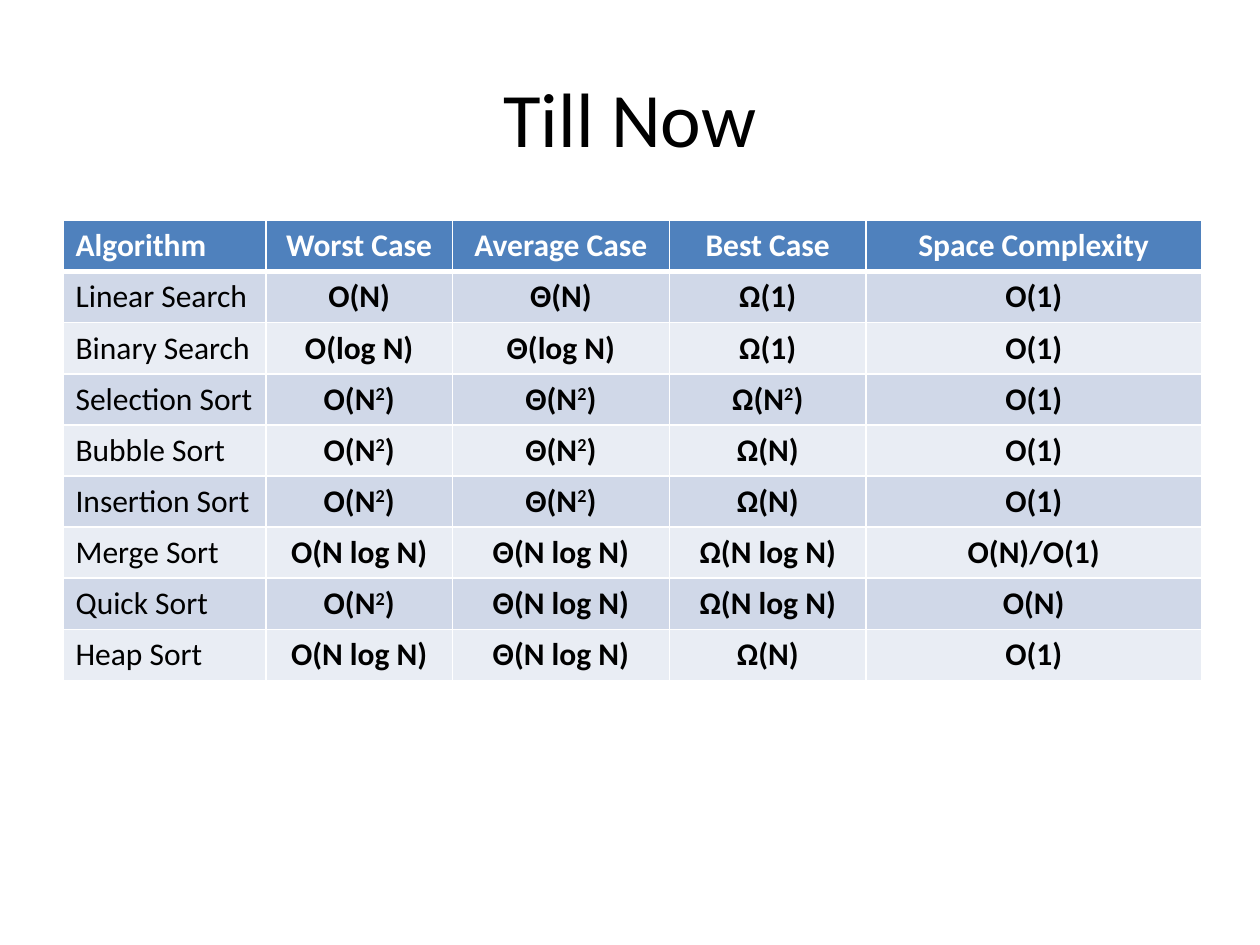
from lxml.etree import SubElement
from pptx import Presentation
from pptx.dml.color import RGBColor
from pptx.enum.text import MSO_ANCHOR, PP_ALIGN
from pptx.oxml.ns import qn
from pptx.util import Pt

# A caret marks the single character after it as superscript.
COMPLEXITIES = [
    ["Algorithm", "Worst Case", "Average Case", "Best Case", "Space Complexity"],
    ["Linear Search", "O(N)", "Θ(N)", "Ω(1)", "O(1)"],
    ["Binary Search", "O(log N)", "Θ(log N)", "Ω(1)", "O(1)"],
    ["Selection Sort", "O(N^2)", "Θ(N^2)", "Ω(N^2)", "O(1)"],
    ["Bubble Sort", "O(N^2)", "Θ(N^2)", "Ω(N)", "O(1)"],
    ["Insertion Sort", "O(N^2)", "Θ(N^2)", "Ω(N)", "O(1)"],
    ["Merge Sort", "O(N log N)", "Θ(N log N)", "Ω(N log N)", "O(N)/O(1)"],
    ["Quick Sort", "O(N^2)", "Θ(N log N)", "Ω(N log N)", "O(N)"],
    ["Heap Sort", "O(N log N)", "Θ(N log N)", "Ω(N)", "O(1)"],
]
COLUMN_WIDTHS = [116, 106.5, 124, 112.5, 191.5]
ROW_HEIGHT = 29.2
HEADER_FILL, ODD_FILL, EVEN_FILL = "4F81BD", "D0D8E8", "E9EDF4"


def write(paragraph, text, color, **font_values):
    """Add text as runs, raising the character after each caret."""
    base, *raised = text.split("^")
    pieces = [(base, False)]
    for part in raised:
        pieces += [(part[0], True), (part[1:], False)]
    for piece, is_raised in pieces:
        run = paragraph.add_run()
        run.text = piece
        for attribute, value in font_values.items():
            setattr(run.font, attribute, value)
        run.font.color.rgb = RGBColor.from_string(color)
        if is_raised:
            run.font._element.set("baseline", "30000")


def add_border(cell, side, width):
    line = SubElement(cell._tc.get_or_add_tcPr(), qn(f"a:ln{side}"), w=str(Pt(width)))
    SubElement(SubElement(line, qn("a:solidFill")), qn("a:srgbClr"), val="FFFFFF")


presentation = Presentation()
presentation.slide_width, presentation.slide_height = Pt(720), Pt(540)
slide = presentation.slides.add_slide(presentation.slide_layouts[5])

title = slide.shapes.title
title.left, title.top, title.width, title.height = Pt(36), Pt(21.6), Pt(648), Pt(90)
title.text_frame.vertical_anchor = MSO_ANCHOR.MIDDLE
heading = title.text_frame.paragraphs[0]
heading.alignment = PP_ALIGN.CENTER
write(heading, "Till Now", "000000", name="Calibri", size=Pt(44))

comparison = slide.shapes.add_table(
    len(COMPLEXITIES), len(COLUMN_WIDTHS), Pt(36), Pt(126),
    Pt(sum(COLUMN_WIDTHS)), Pt(ROW_HEIGHT * len(COMPLEXITIES))).table
for column, width in zip(comparison.columns, COLUMN_WIDTHS):
    column.width = Pt(width)

for row_index, entries in enumerate(COMPLEXITIES):
    comparison.rows[row_index].height = Pt(ROW_HEIGHT)
    is_header = row_index == 0
    fill = HEADER_FILL if is_header else ODD_FILL if row_index % 2 else EVEN_FILL
    for column_index, entry in enumerate(entries):
        cell = comparison.cell(row_index, column_index)
        for side in "LRTB":
            under_header = (row_index, side) in [(0, "B"), (1, "T")]
            add_border(cell, side, 3 if under_header else 1)
        cell.fill.solid()
        cell.fill.fore_color.rgb = RGBColor.from_string(fill)
        paragraph = cell.text_frame.paragraphs[0]
        paragraph.alignment = PP_ALIGN.CENTER if column_index else PP_ALIGN.LEFT
        write(paragraph, entry, "FFFFFF" if is_header else "000000",
              name="Calibri", size=Pt(18), bold=is_header or column_index > 0)

presentation.save("out.pptx")
